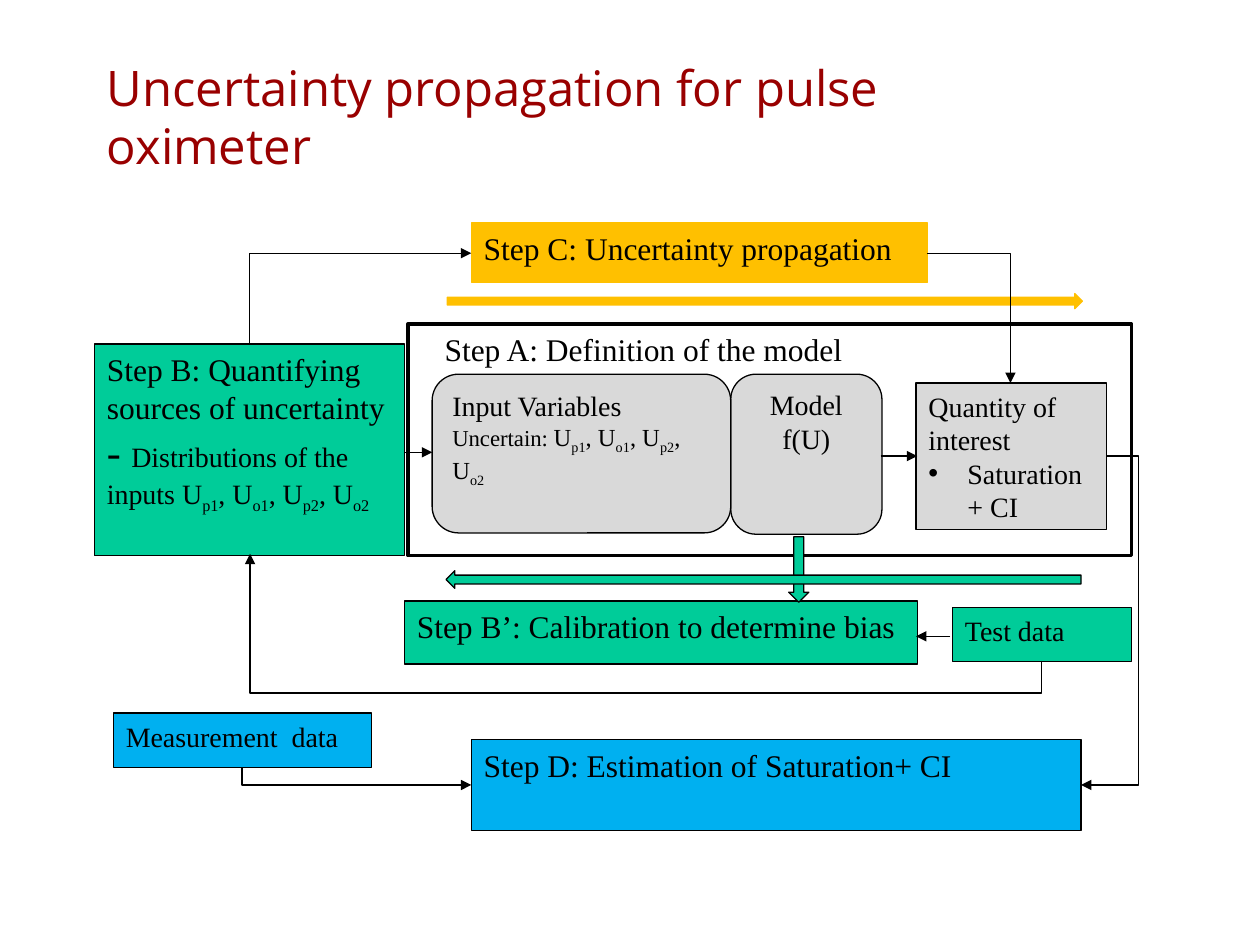
import pptx
import pptx.dml.color
import pptx.enum.shapes
import pptx.enum.text
import pptx.oxml.ns
import pptx.util
from lxml import etree

Inches, Pt = pptx.util.Inches, pptx.util.Pt
SHAPE = pptx.enum.shapes.MSO_SHAPE
CONNECTOR = pptx.enum.shapes.MSO_CONNECTOR
ALIGN = pptx.enum.text.PP_ALIGN
ANCHOR = pptx.enum.text.MSO_ANCHOR
qn = pptx.oxml.ns.qn

COLORS = {"title": "990000", "black": "000000", "white": "FFFFFF",
          "grey": "D9D9D9", "green": "00CC99", "amber": "FFC000",
          "blue": "00B0F0"}


def rgb(name):
    """Return the named colour."""
    return pptx.dml.color.RGBColor.from_string(COLORS[name])


def inputs(size):
    """Return the runs that list the uncertain inputs with subscripts."""
    runs = []
    for i, sub in enumerate(("p1", "o1", "p2", "o2")):
        runs += [(", U" if i else "U", size), (sub, size, True)]
    return runs


class Diagram:
    """Draws the elements of a flow diagram on one slide."""

    font = "Times New Roman"
    line = 0.75

    def __init__(self, slide):
        """Keep the slide to draw on."""
        self.slide = slide

    def add_text(self, sp, paragraphs, align=ALIGN.LEFT, font=None,
                 color="black", anchor=ANCHOR.TOP):
        """Fill a shape with paragraphs of (text, size, subscript) runs."""
        tf = sp.text_frame
        tf.word_wrap = True
        tf.vertical_anchor = anchor
        for i, runs in enumerate(paragraphs):
            p = tf.add_paragraph() if i else tf.paragraphs[0]
            p.alignment = align
            for text, size, *sub in runs:
                r = p.add_run()
                r.text = text
                r.font.size = Pt(size)
                r.font.name = font or self.font
                r.font.color.rgb = rgb(color)
                if sub:
                    r._r.get_or_add_rPr().set("baseline", "-25000")

    def text(self, x, y, w, h, paragraphs, **style):
        """Add a text box."""
        sp = self.slide.shapes.add_textbox(
            Inches(x), Inches(y), Inches(w), Inches(h))
        self.add_text(sp, paragraphs, **style)

    def shape(self, x, y, w, h, fill, paragraphs=(), kind=SHAPE.FLOWCHART_PROCESS,
              border="black", line=None, **style):
        """Add a filled, outlined shape with optional text."""
        sp = self.slide.shapes.add_shape(
            kind, Inches(x), Inches(y), Inches(w), Inches(h))
        sp.shadow.inherit = False
        sp.fill.solid()
        sp.fill.fore_color.rgb = rgb(fill)
        sp.line.color.rgb = rgb(border)
        sp.line.width = Pt(line or self.line)
        self.add_text(sp, paragraphs, **style)
        return sp

    def bullet(self, p, indent):
        """Give a paragraph a hanging bullet."""
        pPr = p._p.get_or_add_pPr()
        pPr.set("marL", str(Inches(indent)))
        pPr.set("indent", str(-Inches(indent)))
        etree.SubElement(pPr, qn("a:buFont")).set("typeface", "Arial")
        etree.SubElement(pPr, qn("a:buChar")).set("char", "•")

    def arrow(self, x1, y1, x2, y2, kind=CONNECTOR.STRAIGHT):
        """Add a connector with an arrowhead at its end."""
        cxn = self.slide.shapes.add_connector(
            kind, Inches(x1), Inches(y1), Inches(x2), Inches(y2))
        cxn.line.color.rgb = rgb("black")
        cxn.line.width = Pt(self.line)
        spPr = cxn._element.spPr
        etree.SubElement(spPr.find(qn("a:ln")), qn("a:tailEnd")).set("type", "triangle")
        etree.SubElement(spPr, qn("a:effectLst"))
        return cxn

    def elbow(self, x, y, w, h, rot=0, flip="", adj=None):
        """Add a bent arrow: one corner, or two when adj is given."""
        cxn = self.arrow(x, y, x + w, y + h, CONNECTOR.ELBOW)
        spPr = cxn._element.spPr
        xfrm = spPr.find(qn("a:xfrm"))
        xfrm.set("rot", str(rot * 60000))
        for axis in flip:
            xfrm.set("flip" + axis.upper(), "1")
        geom = spPr.find(qn("a:prstGeom"))
        if adj is None:
            geom.set("prst", "bentConnector2")
            return
        guides = geom.find(qn("a:avLst"))
        if guides is None:
            guides = etree.SubElement(geom, qn("a:avLst"))
        gd = etree.SubElement(guides, qn("a:gd"))
        gd.set("name", "adj1")
        gd.set("fmla", f"val {round(adj * 100000)}")


def build():
    """Build the slide and save it."""
    prs = pptx.Presentation()
    prs.slide_width, prs.slide_height = Inches(10), Inches(7.5)
    d = Diagram(prs.slides.add_slide(prs.slide_layouts[6]))
    rounded = SHAPE.FLOWCHART_ALTERNATE_PROCESS

    d.text(0.75, 0.42, 7.17, 1, [[("Uncertainty propagation for pulse oximeter", 28)]],
           font="Open Sans", color="title", anchor=ANCHOR.MIDDLE)

    # Step A: the model
    d.shape(3.24, 2.57, 5.74, 1.84, "white", kind=SHAPE.RECTANGLE, line=2)
    d.text(3.43, 2.57, 3.93, 0.4, [[("Step A: Definition of the model", 18)]])
    d.shape(5.8, 2.97, 1.2, 1.27, "grey", [[("Model", 16)], [("f(U)", 16)]],
            kind=rounded, align=ALIGN.CENTER)
    d.shape(3.43, 2.97, 2.37, 1.26, "grey",
            [[("Input Variables", 16)], [("Uncertain: ", 13)] + inputs(14)], kind=rounded)
    quantity = d.shape(7.27, 3.04, 1.51, 1.16, "grey",
                       [[("Quantity of interest", 16)], [("Saturation+ CI", 16)]])
    d.bullet(quantity.text_frame.paragraphs[1], 0.31)

    # Remaining steps and data
    d.shape(0.75, 2.73, 2.46, 1.68, "green",
            [[("Step B: Quantifying sources of uncertainty", 18)],
             [("- ", 24), ("Distributions of the inputs ", 16)] + inputs(16)])
    for x, y, w, h, fill, border, text, size in (
            (3.74, 1.77, 3.62, 0.47, "amber", "amber", "Step C: Uncertainty propagation", 18),
            (3.21, 4.77, 4.07, 0.5, "green", "black", "Step B’: Calibration to determine bias", 18),
            (7.56, 4.82, 1.42, 0.43, "green", "black", "Test data", 16),
            (0.9, 5.66, 2.05, 0.43, "blue", "black", "Measurement  data", 16),
            (3.74, 5.87, 4.84, 0.72, "blue", "black", "Step D: Estimation of Saturation+ CI", 18)):
        d.shape(x, y, w, h, fill, [[(text, size)]], border=border)

    # Block arrows
    d.shape(6.26, 4.26, 0.16, 0.52, "green", kind=SHAPE.DOWN_ARROW)
    d.shape(3.55, 2.33, 5.04, 0.12, "amber", kind=SHAPE.RIGHT_ARROW, border="amber")
    d.shape(3.54, 4.53, 5.04, 0.14, "green", kind=SHAPE.LEFT_ARROW)

    # Connectors
    d.arrow(7.54, 5.05, 7.27, 5.05)
    d.arrow(6.99, 3.62, 7.28, 3.62)
    d.arrow(3.21, 3.59, 3.43, 3.59)
    d.elbow(7.36, 2.01, 0.66, 1.03)
    d.elbow(2.76, 5.25, 0.14, 1.82, 270, "h")
    d.elbow(8.58, 3.62, 0.2, 2.61, 0, "h", -1.27)
    d.elbow(2.5, 1.49, 0.72, 1.76, 90, "hv")
    d.elbow(4.7, 1.68, 0.85, 6.28, 90, "h", -0.3)

    prs.save("out.pptx")


build()
